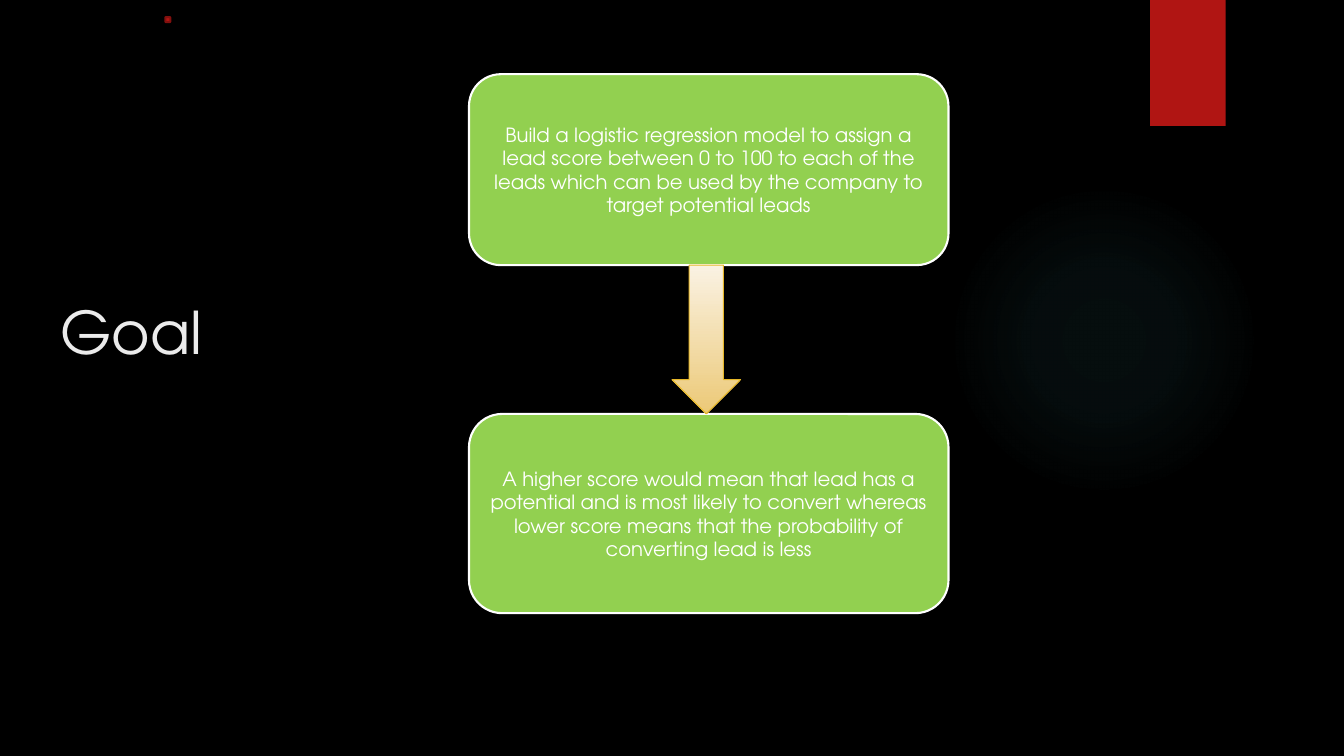
from lxml import etree
from pptx import Presentation
from pptx import util as u
from pptx.dml.color import RGBColor
from pptx.enum import shapes, text
from pptx.oxml import ns

BLACK = RGBColor(0x00, 0x00, 0x00)
WHITE = RGBColor(0xFF, 0xFF, 0xFF)
TITLE_GREY = RGBColor(0xEB, 0xEB, 0xEB)
RED = RGBColor(0xB0, 0x15, 0x13)
DARK_RED = RGBColor(0x82, 0x10, 0x0E)
GREEN = RGBColor(0x92, 0xD0, 0x50)
CREAM = RGBColor(0xFA, 0xF2, 0xE3)
SAND = RGBColor(0xEC, 0xC9, 0x77)
GOLD = RGBColor(0xE6, 0xB7, 0x29)
TEAL = RGBColor(0x50, 0xB9, 0xC1)
FONT = "TeX Gyre Adventor"

deck = Presentation()
deck.slide_width, deck.slide_height = u.Pt(960), u.Pt(540)
page = deck.slides.add_slide(deck.slide_layouts[5])
page.background.fill.solid()
page.background.fill.fore_color.rgb = BLACK


def add_block(preset, left, top, width, height, fill=None, line=None, weight=1.5):
    block = page.shapes.add_shape(preset, *map(u.Pt, (left, top, width, height)))
    block.shadow.inherit = False
    if fill is not None:
        block.fill.solid()
        block.fill.fore_color.rgb = fill
    if line is None:
        block.line.fill.background()
    else:
        block.line.color.rgb = line
        block.line.width = u.Pt(weight)
    return block


def style_text(frame, size, color, align):
    para = frame.paragraphs[0]
    para.alignment = align
    span = para.runs[0]
    span.font.name = FONT
    span.font.size = u.Pt(size)
    span.font.color.rgb = color


# Soft circular glow, fading outwards
glow = add_block(shapes.MSO_SHAPE.OVAL, 677.5, 131.8, 221.8, 221.8)
glow.fill.gradient()
gradient = glow.fill._xPr.find(ns.qn("a:gradFill"))
for child in list(gradient):
    gradient.remove(child)
stops = etree.SubElement(gradient, ns.qn("a:gsLst"))
for position, alpha in ((0, 7), (36, 6), (69, 0)):
    stop = etree.SubElement(stops, ns.qn("a:gs"), pos=str(position * 1000))
    color = etree.SubElement(stop, ns.qn("a:srgbClr"), val=str(TEAL))
    etree.SubElement(color, ns.qn("a:alpha"), val=str(alpha * 1000))
circle = etree.SubElement(gradient, ns.qn("a:path"), {"path": "circle"})
etree.SubElement(circle, ns.qn("a:fillToRect"), dict.fromkeys("ltrb", "50000"))

# Red tab with a soft shadow
tab = add_block(shapes.MSO_SHAPE.RECTANGLE, 821.5, 0, 54, 90, RED)
effects = tab._element.spPr.find(ns.qn("a:effectLst"))
shadow = etree.SubElement(effects, ns.qn("a:outerShdw"), blurRad=str(u.Pt(3)),
                          dist=str(u.Pt(2)), dir="5400000", rotWithShape="0")
shade = etree.SubElement(shadow, ns.qn("a:srgbClr"), val=str(BLACK))
etree.SubElement(shade, ns.qn("a:alpha"), val="45000")

# Title
title = page.shapes.title
title.left, title.top, title.width, title.height = map(u.Pt, (36, 207.4, 741, 110))
title.text_frame.text = "Goal"
title.text_frame.vertical_anchor = text.MSO_ANCHOR.TOP
style_text(title.text_frame, 42, TITLE_GREY, text.PP_ALIGN.LEFT)

# Small red dot
add_block(shapes.MSO_SHAPE.ROUNDED_RECTANGLE, 118.1, 12.2, 3.6, 3.6, RED, DARK_RED)

# Goal boxes
goals = (
    (53, 136.4, "Build a logistic regression model to assign a lead score between 0 to 100 "
     "to each of the leads which can be used by the company to target potential leads"),
    (295.7, 142.3, "A higher score would mean that lead has a potential and is most likely to "
     "convert whereas lower score means that the probability of converting lead is less"),
)
for top, height, wording in goals:
    box = add_block(shapes.MSO_SHAPE.ROUNDED_RECTANGLE, 335, top, 342.5, height, GREEN, WHITE)
    box.text_frame.word_wrap = True
    box.text_frame.vertical_anchor = text.MSO_ANCHOR.MIDDLE
    box.text_frame.text = wording
    style_text(box.text_frame, 14, WHITE, text.PP_ALIGN.CENTER)

# Arrow between the boxes, light at the top
arrow = add_block(shapes.MSO_SHAPE.DOWN_ARROW, 480, 189.4, 49, 106.2, line=GOLD, weight=0.75)
arrow.fill.gradient()
arrow.fill.gradient_angle = 270
for stop, color in zip(arrow.fill.gradient_stops, (CREAM, SAND)):
    stop.color.rgb = color

deck.save("out.pptx")
